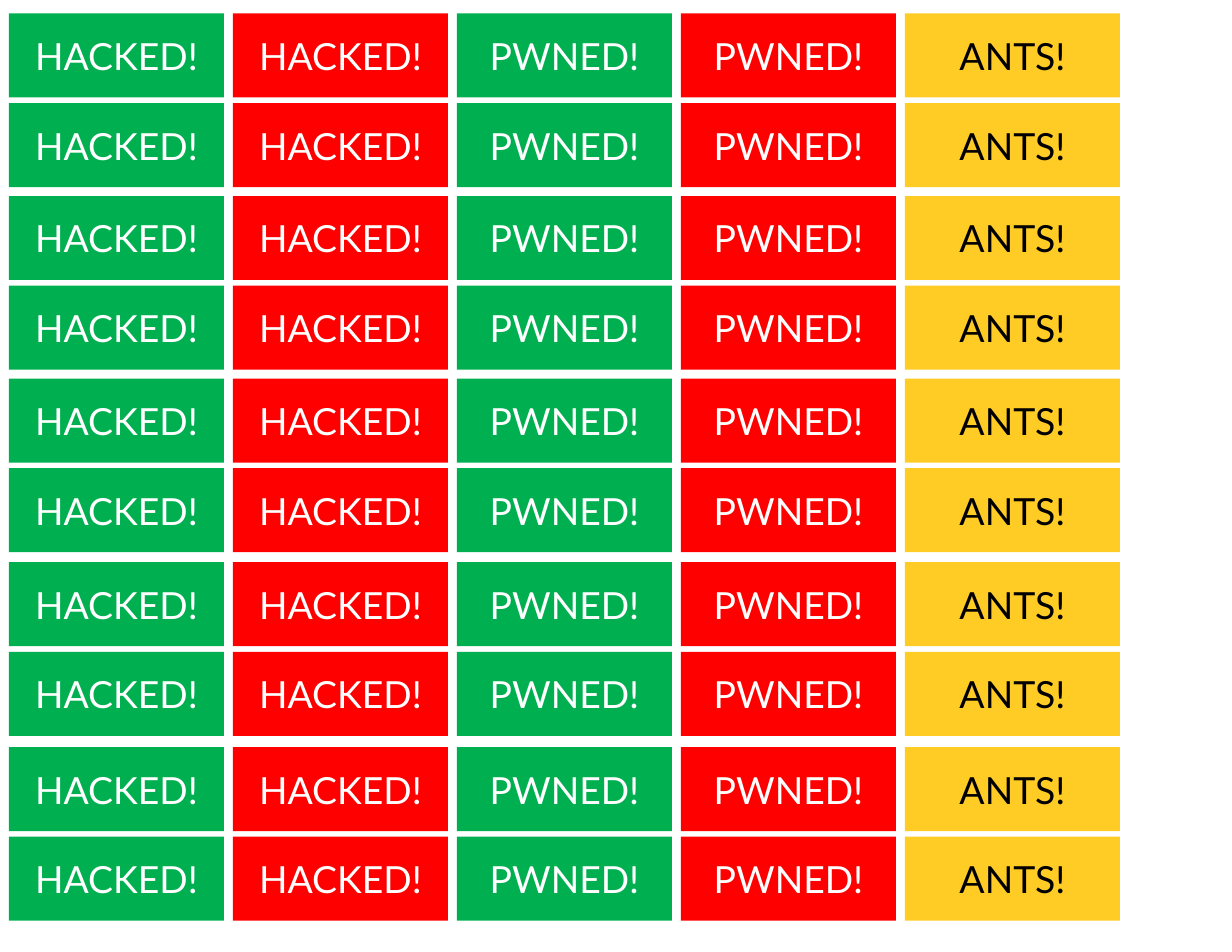
from pptx import Presentation, util as u
from pptx.dml.color import RGBColor
from pptx.enum import shapes, text

GREEN, RED, YELLOW = "00B050", "FF0000", "FFCB25"
WHITE, BLACK = "FFFFFF", "000000"


def rgb(value):
    return RGBColor.from_string(value)


class Cards:
    """Draws labelled cards in one style on the current slide."""

    font, size = "Lato", 24
    width, height = 1.92, 0.75

    def __init__(self, slide):
        self.s = slide

    def card(self, left, top, label, fill, color):
        sp = self.s.shapes.add_shape(
            shapes.MSO_SHAPE.RECTANGLE, u.Inches(left), u.Inches(top),
            u.Inches(self.width), u.Inches(self.height))
        sp.shadow.inherit = False
        sp.fill.solid()
        sp.fill.fore_color.rgb = rgb(fill)
        sp.line.fill.background()
        tf = sp.text_frame
        tf.text = label
        tf.word_wrap = True
        tf.vertical_anchor = text.MSO_ANCHOR.MIDDLE
        p = tf.paragraphs[0]
        p.alignment = text.PP_ALIGN.CENTER
        r = p.runs[0]
        r.font.name = self.font
        r.font.size = u.Pt(self.size)
        r.font.color.rgb = rgb(color)


prs = Presentation()
prs.slide_width, prs.slide_height = u.Inches(11), u.Inches(8.5)
cards = Cards(prs.slides.add_slide(prs.slide_layouts[6]))

columns = [
    ("HACKED!", GREEN, WHITE),
    ("HACKED!", RED, WHITE),
    ("PWNED!", GREEN, WHITE),
    ("PWNED!", RED, WHITE),
    ("ANTS!", YELLOW, BLACK),
]
pair_tops = [0.12, 1.75, 3.38, 5.02, 6.67]
left, column_step, row_step = 0.08, 2, 0.8

for pair_top in pair_tops:
    for row in range(2):
        for col, (label, fill, color) in enumerate(columns):
            cards.card(left + col * column_step, pair_top + row * row_step,
                       label, fill, color)

prs.save("out.pptx")
